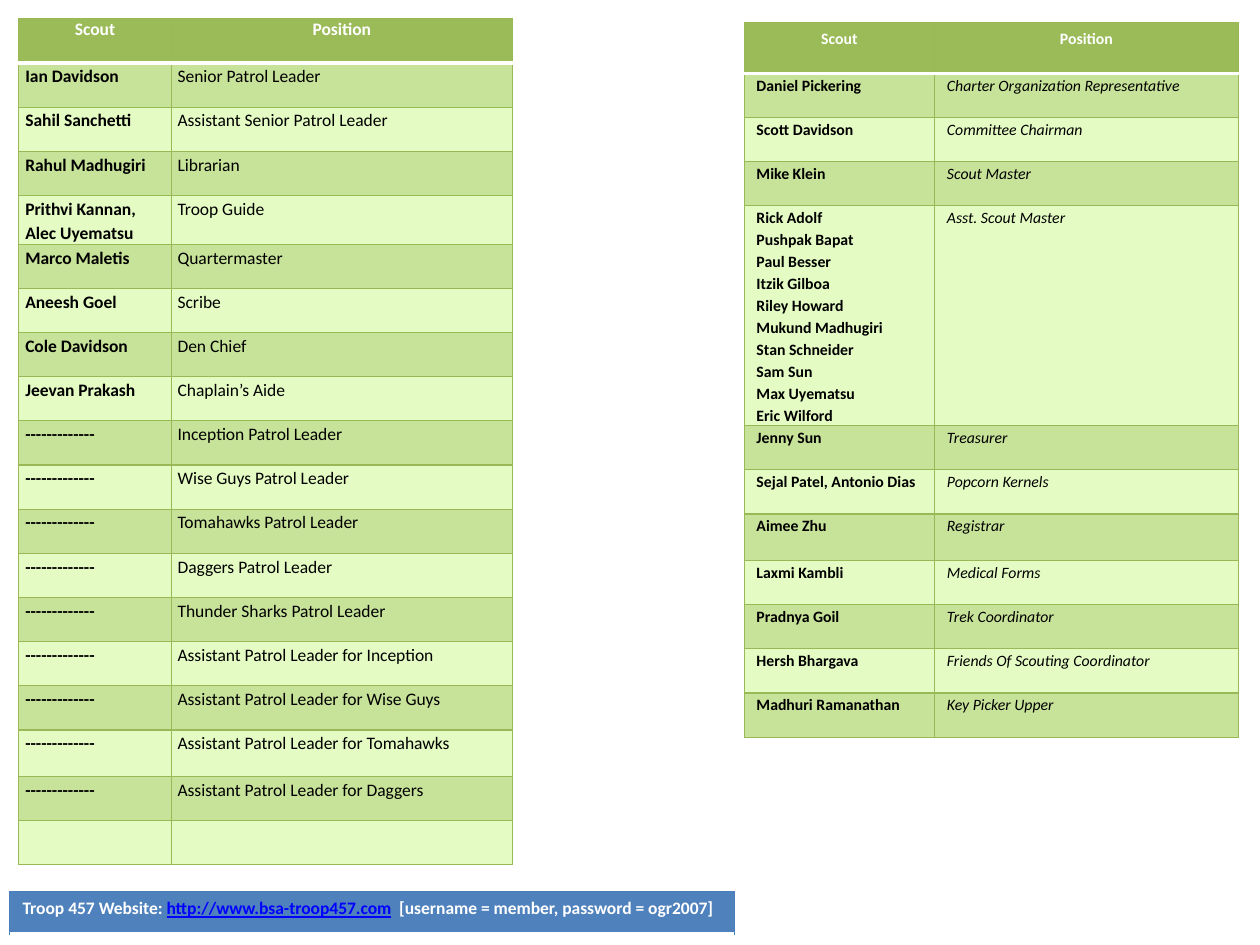
from lxml.etree import SubElement
from pptx import Presentation
from pptx.dml.color import RGBColor
from pptx.enum.text import PP_ALIGN as Align
from pptx.oxml.ns import qn
from pptx.util import Cm, Pt

# Content
HEADINGS = ("Scout", "Position")
VACANT = "-------------"
SCOUTS = [
    ("Ian Davidson", "Senior Patrol Leader"),
    ("Sahil Sanchetti", "Assistant Senior Patrol Leader"),
    ("Rahul Madhugiri", "Librarian"),
    ("Prithvi Kannan,\nAlec Uyematsu", "Troop Guide"),
    ("Marco Maletis", "Quartermaster"),
    ("Aneesh Goel", "Scribe"),
    ("Cole Davidson", "Den Chief"),
    ("Jeevan Prakash", "Chaplain’s Aide"),
    (VACANT, "Inception Patrol Leader"),
    (VACANT, "Wise Guys Patrol Leader"),
    (VACANT, "Tomahawks Patrol Leader"),
    (VACANT, "Daggers Patrol Leader"),
    (VACANT, "Thunder Sharks Patrol Leader"),
    (VACANT, "Assistant Patrol Leader for Inception"),
    (VACANT, "Assistant Patrol Leader for Wise Guys"),
    (VACANT, "Assistant Patrol Leader for Tomahawks"),
    (VACANT, "Assistant Patrol Leader for Daggers"),
    ("", ""),
]
ASSISTANT_MASTERS = [
    "Rick Adolf", "Pushpak Bapat", "Paul Besser", "Itzik Gilboa", "Riley Howard",
    "Mukund Madhugiri", "Stan Schneider", "Sam Sun", "Max Uyematsu", "Eric Wilford",
]
ADULTS = [
    ("Daniel Pickering", "Charter Organization Representative"),
    ("Scott Davidson", "Committee Chairman"),
    ("Mike Klein", "Scout Master"),
    ("\n".join(ASSISTANT_MASTERS), "Asst. Scout Master"),
    ("Jenny Sun", "Treasurer"),
    ("Sejal Patel, Antonio Dias", "Popcorn Kernels"),
    ("Aimee Zhu", "Registrar"),
    ("Laxmi Kambli", "Medical Forms"),
    ("Pradnya Goil", "Trek Coordinator"),
    ("Hersh Bhargava", "Friends Of Scouting Coordinator"),
    ("Madhuri Ramanathan", "Key Picker Upper"),
]
WEBSITE = ("Troop 457 Website: ", "http://www.bsa-troop457.com",
           "  [username = member, password = ogr2007]")

THEME = {
    "font": "Calibri", "scout_size": 10, "adult_size": 9, "website_size": 10,
    "white": "FFFFFF", "black": "000000", "link": "0000FF",
    "header": "9BBB59", "bands": ("C7E299", "E4FBC3"), "grid": "98B955",
    "website": "4F81BD", "website_line": "4B7EBC",
}
ROW_HEIGHT = 0.89  # cm
THIN, THICK = 0.75, 2


def color(name):
    return RGBColor.from_string(THEME.get(name, name))


def style_cell(cell, fill, line, **edges):
    """Draw the four borders, then the fill; edges overrides single sides."""
    properties = cell._tc.get_or_add_tcPr()
    for side in "LRTB":
        edge_color, width = edges.get(side, (line, THIN))
        border = SubElement(properties, qn(f"a:ln{side}"), w=str(Pt(width)))
        solid = SubElement(border, qn("a:solidFill"))
        SubElement(solid, qn("a:srgbClr"), val=str(color(edge_color)))
    cell.fill.solid()
    cell.fill.fore_color.rgb = color(fill)


def style_font(font, size, font_color, bold=True, italic=False):
    font.name = THEME["font"]
    font.size = Pt(size)
    font.bold = bold
    font.italic = italic
    font.color.rgb = color(font_color)


def add_grid(slide, left, top, widths, heights):
    frame = slide.shapes.add_table(len(heights), len(widths), Cm(left), Cm(top),
                                   Cm(sum(widths)), Cm(sum(heights)))
    for column, width in zip(frame.table.columns, widths):
        column.width = Cm(width)
    for row, height in zip(frame.table.rows, heights):
        row.height = Cm(height)
    return frame.table


def add_roster(slide, people, left, top, widths, size, inset, special_heights,
               header_inset=0, italic=False):
    heights = [special_heights.get(i, ROW_HEIGHT) for i in range(len(people) + 1)]
    table = add_grid(slide, left, top, widths, heights)
    white_edge = ("white", THICK)
    for row, texts in enumerate([HEADINGS, *people]):
        is_header = row == 0
        edges = {"B": white_edge} if is_header else {"T": white_edge} if row == 1 else {}
        for column, text in enumerate(texts):
            cell = table.cell(row, column)
            cell.margin_left = cell.margin_right = Cm(inset)
            cell.margin_top = cell.margin_bottom = Cm(header_inset if is_header else 0)
            fill = "header" if is_header else THEME["bands"][(row - 1) % 2]
            style_cell(cell, fill, "grid", **edges)
            cell.text_frame.text = text
            for paragraph in cell.text_frame.paragraphs:
                if is_header:
                    paragraph.alignment = Align.CENTER
                else:
                    paragraph.line_spacing = 1.15
                is_position = column == 1 and not is_header
                style_font(paragraph.font, size, "white" if is_header else "black",
                           bold=not is_position, italic=italic and is_position)


def add_website(slide):
    cell = add_grid(slide, 0.2, 17.98, [14.61], [0.84]).cell(0, 0)
    style_cell(cell, "website", "website_line", B=("white", THICK))
    paragraph = cell.text_frame.paragraphs[0]
    for text in WEBSITE:
        run = paragraph.add_run()
        run.text = text
        is_link = text.startswith("http")
        style_font(run.font, THEME["website_size"], "link" if is_link else "white")
        run.font.underline = is_link


def main():
    presentation = Presentation()
    presentation.slide_width, presentation.slide_height = Cm(25.4), Cm(19.05)
    slide = presentation.slides.add_slide(presentation.slide_layouts[6])

    # Scouts on the left, website strip below, adults on the right
    add_roster(slide, SCOUTS, 0.38, 0.38, (3.07, 6.88), THEME["scout_size"],
               inset=0.13, special_heights={4: 0.97, 16: 0.94})
    add_website(slide)
    add_roster(slide, ADULTS, 15, 0.46, (3.84, 6.12), THEME["adult_size"],
               inset=0.25, special_heights={0: 1.02, 4: 4.39, 7: 0.94},
               header_inset=0.13, italic=True)

    presentation.save("out.pptx")


if __name__ == "__main__":
    main()
